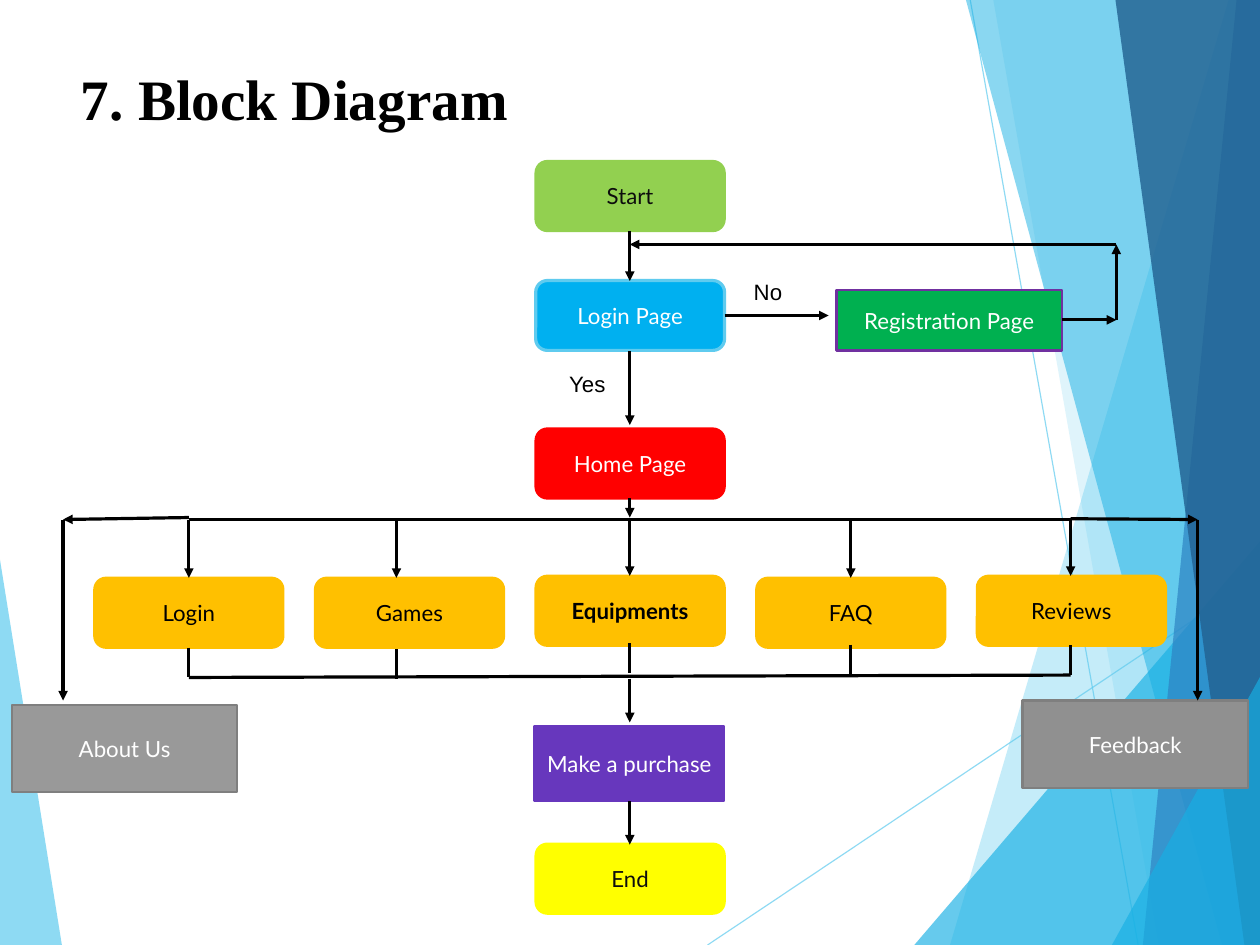
from lxml.etree import SubElement
from pptx import Presentation
from pptx.dml.color import RGBColor
from pptx.enum.shapes import MSO_CONNECTOR as Link, MSO_SHAPE as Preset
from pptx.enum.text import MSO_ANCHOR as Anchor, PP_ALIGN as Align
from pptx.oxml.ns import qn
from pptx.util import Pt

# Content
TITLE = "7. Block Diagram"
BRANCHES = ["Login", "Games", "Equipments", "FAQ", "Reviews"]
LABELS = [("Yes", 351.5, 230, 68), ("No", 467.75, 172, 60)]

# Theme
THEME = {
    "black": "000000", "ink": "0D0D0D", "white": "FFFFFF",
    "sky": "5FCBEF", "cyan": "17B0E4", "blue": "2E83C3", "navy": "236292",
    "green": "92D050", "azure": "00B0F0", "red": "FF0000", "gold": "FFC000",
    "emerald": "00B050", "plum": "7030A0", "violet": "6737BD", "yellow": "FFFF00",
    "silver": "999999", "grey": "909090", "border": "7F7F7F",
    "title": {"name": "Times New Roman", "size": Pt(36), "bold": True},
    "node": {"name": "Lato", "size": Pt(14)},
    "label": {"name": "Arial", "size": Pt(14)},
    "edge": 1.5, "arrow": 2, "hairline": 0.75,
}

# Layout, in points
WIDTH, HEIGHT = 793.75, 595.25
NODE_W, NODE_H = 119, 44
FIRST_LEFT, PITCH = 59.5, 139
MAIN_LEFT = FIRST_LEFT + 2 * PITCH
MAIN_X = 396.75
BUS_Y, LOOP_Y, LOOP_X = 327.25, 154, 703.25
SIDE_LEFT, SIDE_RIGHT = 39.75, 754.5
BRANCH_TOPS = [364, 364, 362.75, 364, 362.75]
DROP_X = [119, 249.75, MAIN_X, 536, 674.5]
STUB_TOPS = [408, 409, 405.25, 406, 406.5]
STUB_H = 18.75


# Background: slanted bands reach the right edge, wedges rise to it
def band(top_x, bottom_x):
    return [(top_x, 0), (bottom_x, HEIGHT), (WIDTH, HEIGHT), (WIDTH, 0)]


def wedge(bottom_x, right_y):
    return [(bottom_x, HEIGHT), (WIDTH, right_y), (WIDTH, HEIGHT)]


FACETS = [
    (band(774, 598.5), "sky", 36),
    (band(625.75, 730), "sky", 20),
    (wedge(576, 341), "cyan", 66),
    (band(608.5, 769.75), "cyan", 50),
    (band(779, 720), "blue", 70),
    (band(702.75, 784), "navy", 82),
    (wedge(700.5, 426.5), "cyan", 66),
]
LEFT_FACET = ([(0, 352.5), (39, HEIGHT), (0, HEIGHT)], "sky", 70)
RAYS = [((445.75, HEIGHT), (WIDTH, 362.5)), ((611.25, 0), (717, HEIGHT))]

# Round nodes: text, top, fill, border, text colour
ROUND_NODES = [
    ("Start", 101.5, "green", "green", "ink"),
    ("Login Page", 176.75, "azure", "sky", "white"),
    ("Home Page", 270, "red", "red", "white"),
    ("End", 531.5, "yellow", "yellow", "ink"),
]
# Square nodes: text, left, top, width, height, fill, border, text colour
SQUARE_NODES = [
    ("Registration Page", 527, 182.75, 142, 38, "emerald", "plum", "white"),
    ("Make a purchase", 336.75, 457.25, 119.5, 47.5, "violet", "violet", "white"),
    ("Feedback", 644.25, 441.25, 142, 55, "grey", "border", "white"),
    ("About Us", 7.5, 444, 142, 55, "silver", "border", "white"),
]

# Arrows and plain lines: start, end
ARROWS = [((MAIN_X, top), (MAIN_X, bottom)) for top, bottom in [
    (145.5, 177), (221, 267.75), (314, 326), (427.5, 455), (504.75, 532)]]
ARROWS += [((x, BUS_Y), (x, top)) for x, top in zip(DROP_X, BRANCH_TOPS)]
ARROWS += [
    ((456.5, 198.75), (522, 198.75)),
    ((669, 201.5), (LOOP_X, 201.5)),
    ((LOOP_X, 201.5), (LOOP_X, LOOP_Y)),
    ((LOOP_X, LOOP_Y), (MAIN_X, LOOP_Y)),
    ((DROP_X[0], 326), (SIDE_LEFT, BUS_Y)),
    ((DROP_X[-1], 326.75), (SIDE_RIGHT, BUS_Y)),
    ((SIDE_LEFT, BUS_Y), (SIDE_LEFT, 441.25)),
    ((SIDE_RIGHT, BUS_Y), (SIDE_RIGHT, 441.25)),
]
LINES = [((x, top), (x, top + STUB_H)) for x, top in zip(DROP_X, STUB_TOPS)]
LINES += [
    ((DROP_X[0], BUS_Y), (DROP_X[-1], BUS_Y)),
    ((DROP_X[0], 426.75), (DROP_X[-1], 425.25)),
]


def colour(name):
    return RGBColor.from_string(THEME[name])


def set_alpha(fill_parent, percent):
    for tone in fill_parent.iter(qn("a:srgbClr")):
        SubElement(tone, qn("a:alpha"), val=str(percent * 1000))


def add_facet(page, points, fill, alpha):
    corners = [(Pt(x), Pt(y)) for x, y in points]
    builder = page.shapes.build_freeform(*corners[0])
    builder.add_line_segments(corners[1:], close=True)
    facet = builder.convert_to_shape()
    facet.shadow.inherit = False
    facet.fill.solid()
    facet.fill.fore_color.rgb = colour(fill)
    facet.line.fill.background()
    set_alpha(facet.element.spPr, alpha)


def add_link(page, start, end, tone="black", weight=THEME["arrow"], head=False):
    link = page.shapes.add_connector(Link.STRAIGHT, *map(Pt, start + end))
    link.line.color.rgb = colour(tone)
    link.line.width = Pt(weight)
    if head:
        outline = link.element.spPr.find(qn("a:ln"))
        SubElement(outline, qn("a:tailEnd"), type="triangle")
    SubElement(link.element.spPr, qn("a:effectLst"))
    return link


def write(box, text, style, tone, align, frame_format):
    frame = box.text_frame
    for name, value in ({"word_wrap": True} | frame_format).items():
        setattr(frame, name, value)
    para = frame.paragraphs[0]
    para.alignment = align
    span = para.add_run()
    span.text = text
    for name, value in style.items():
        setattr(span.font, name, value)
    span.font.color.rgb = colour(tone)
    return para


def add_node(page, preset, text, left, top, width, height, fill, edge, tone, bold=False):
    node = page.shapes.add_shape(preset, *map(Pt, (left, top, width, height)))
    node.shadow.inherit = False
    node.fill.solid()
    node.fill.fore_color.rgb = colour(fill)
    node.line.color.rgb = colour(edge)
    node.line.width = Pt(THEME["arrow"] if edge == "sky" else THEME["edge"])
    write(node, text, THEME["node"] | {"bold": bold}, tone, Align.CENTER,
          {"vertical_anchor": Anchor.MIDDLE})


def main():
    deck = Presentation()
    deck.slide_width, deck.slide_height = Pt(WIDTH), Pt(HEIGHT)
    page = deck.slides.add_slide(deck.slide_layouts[6])

    # Background
    add_facet(page, *LEFT_FACET)
    for start, end in RAYS:
        ray = add_link(page, start, end, "sky", THEME["hairline"])
        set_alpha(ray.element.spPr, 70)
    for facet in FACETS:
        add_facet(page, *facet)

    # Title and branch labels
    box = page.shapes.add_textbox(*map(Pt, (51, 13, 714, 99)))
    para = write(box, TITLE, THEME["title"], "black", Align.LEFT, {
        "vertical_anchor": Anchor.MIDDLE, "margin_left": 0, "margin_right": 0,
        "margin_top": Pt(2), "margin_bottom": 0})
    para.line_spacing = 0.93
    for text, left, top, width in LABELS:
        box = page.shapes.add_textbox(*map(Pt, (left, top, width, 24.5)))
        write(box, text, THEME["label"], "black", Align.LEFT, {})

    # Nodes
    for text, top, *tones in ROUND_NODES:
        add_node(page, Preset.ROUNDED_RECTANGLE, text, MAIN_LEFT, top, NODE_W, NODE_H, *tones)
    for column, (text, top) in enumerate(zip(BRANCHES, BRANCH_TOPS)):
        add_node(page, Preset.ROUNDED_RECTANGLE, text, FIRST_LEFT + column * PITCH, top,
                 NODE_W, NODE_H, "gold", "gold", "black", bold=text == "Equipments")
    for node in SQUARE_NODES:
        add_node(page, Preset.RECTANGLE, *node)

    # Connections
    for start, end in LINES:
        add_link(page, start, end)
    for start, end in ARROWS:
        add_link(page, start, end, head=True)

    deck.save("out.pptx")


if __name__ == "__main__":
    main()
